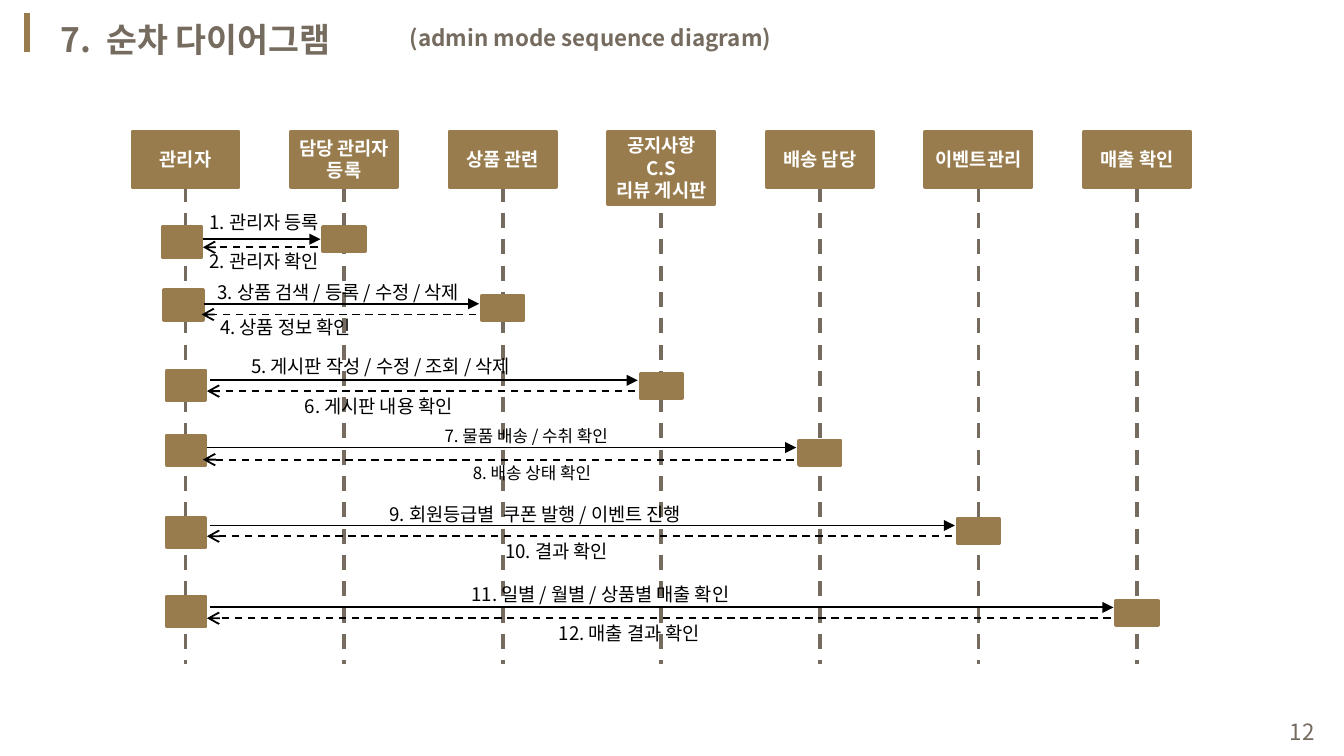
from pptx import Presentation
from pptx.dml.color import RGBColor
from pptx.enum.dml import MSO_LINE
from pptx.enum.shapes import MSO_CONNECTOR, MSO_SHAPE
from pptx.enum.text import MSO_ANCHOR, PP_ALIGN
from pptx.oxml.ns import qn
from pptx.util import Inches, Pt
from lxml import etree

DASH = MSO_LINE.DASH
LINE = MSO_CONNECTOR.STRAIGHT
RECT = MSO_SHAPE.RECTANGLE
MID, TOP = MSO_ANCHOR.MIDDLE, MSO_ANCHOR.TOP
LEFT, CENTER, RIGHT = PP_ALIGN.LEFT, PP_ALIGN.CENTER, PP_ALIGN.RIGHT

THEME = {
    "font": "Noto Sans CJK KR",
    "gold": "987C4D", "brown": "756B5F", "black": "000000", "white": "FFFFFF",
    "title": 18, "sub": 12, "head": 10, "label": 10, "small": 9,
}

HEADS = ["관리자", "담당 관리자\n등록", "상품 관련", "공지사항\nC.S\n리뷰 게시판",
         "배송 담당", "이벤트관리", "매출 확인"]

STEPS = [
    {"admin": (1.21, 1.69), "bar": 1.69, "start": 1.51, "end": 1.51,
     "call": 1.78, "reply": 1.84, "size": "label",
     "notes": [("1. 관리자 등록", 1.46, 1.52, 1.11),
               ("2. 관리자 확인", 1.46, 1.81, 1.11)]},
    {"admin": (1.22, 2.16), "bar": 2.2, "start": 1.52, "end": 1.5,
     "call": 2.26, "reply": 2.34, "size": "label",
     "notes": [("3. 상품 검색 / 등록 / 수정 / 삭제", 1.52, 2.04, 2.27),
               ("4. 상품 정보 확인", 1.54, 2.3, 1.3)]},
    {"admin": (1.24, 2.76), "bar": 2.78, "start": 1.56, "end": 1.54,
     "call": 2.83, "reply": 2.91, "size": "label",
     "notes": [("5. 게시판 작성 / 수정 / 조회 / 삭제", 1.77, 2.59, 2.41),
               ("6. 게시판 내용 확인", 2.17, 2.89, 1.44)]},
    {"admin": (1.24, 3.24), "bar": 3.28, "start": 1.54, "end": 1.51,
     "call": 3.33, "reply": 3.42, "size": "small",
     "notes": [("7. 물품 배송 / 수취 확인", 3.21, 3.12, 1.58),
               ("8. 배송 상태 확인", 3.42, 3.39, 1.19)]},
    {"admin": (1.24, 3.85), "bar": 3.86, "start": 1.56, "end": 1.54,
     "call": 3.91, "reply": 3.99, "size": "label",
     "notes": [("9. 회원등급별  쿠폰 발행 / 이벤트 진행", 2.8, 3.69, 2.67),
               ("10. 결과 확인", 3.66, 3.97, 1.05)]},
    {"admin": (1.24, 4.44), "bar": 4.47, "start": 1.56, "end": 1.54,
     "call": 4.52, "reply": 4.6, "size": "label",
     "notes": [("11. 일별 / 월별 / 상품별 매출 확인", 3.41, 4.29, 2.39),
               ("12. 매출 결과 확인", 4.06, 4.58, 1.38)]},
]

WIDE = Inches(10)
FIRST, PITCH = 1.38, 1.18
HEAD_TOP, HEAD_W, HEAD_H, TALL_H = 0.98, 0.79, 0.41, 0.54
LIFE_END = 4.94
ADMIN_W, ADMIN_H = 0.29, 0.22
BAR_W, BAR_H = 0.31, 0.18
GAP = 0.02


def color(name):
    return RGBColor.from_string(THEME[name])


def write(frame, text, size, tint, bold=False, align=LEFT):
    frame.text = text
    for para in frame.paragraphs:
        para.alignment = align
        font = para.font
        font.name = THEME["font"]
        font.size = Pt(THEME[size])
        font.bold = bold
        font.color.rgb = color(tint)
        props = para._p.pPr.find(qn("a:defRPr"))
        etree.SubElement(props, qn("a:ea"), typeface=THEME["font"])


def label(slide, text, at, size, tint, bold=False, align=LEFT, wrap=True, anchor=TOP):
    frame = slide.shapes.add_textbox(*map(Inches, at)).text_frame
    frame.word_wrap = wrap
    frame.vertical_anchor = anchor
    write(frame, text, size, tint, bold, align)


def block(slide, *at):
    box = slide.shapes.add_shape(RECT, *map(Inches, at))
    box.shadow.inherit = False
    box.fill.solid()
    box.fill.fore_color.rgb = color("gold")
    box.line.color.rgb = color("gold")
    box.line.width = Pt(2)
    return box


def stroke(slide, x1, y1, x2, y2, tint, width, dash=None, tip=None):
    link = slide.shapes.add_connector(LINE, *map(Inches, (x1, y1, x2, y2)))
    link.line.color.rgb = color(tint)
    link.line.width = Pt(width)
    if dash:
        link.line.dash_style = dash
    if tip:
        etree.SubElement(link.line._get_or_add_ln(), qn("a:tailEnd"), type=tip)
    etree.SubElement(link._element.spPr, qn("a:effectLst"))
    return link


def draw_head(slide, col, name):
    mid = FIRST + PITCH * col
    tall = name.count("\n") > 1
    life = stroke(slide, mid, HEAD_TOP + HEAD_H, mid, LIFE_END, "brown", 2, DASH)
    head = block(slide, mid - HEAD_W / 2, HEAD_TOP, HEAD_W, TALL_H if tall else HEAD_H)
    frame = head.text_frame
    frame.margin_left = frame.margin_right = frame.margin_top = frame.margin_bottom = 0
    frame.vertical_anchor = MID
    frame.word_wrap = True
    write(frame, name, "head", "white", True, CENTER)
    if not tall:
        life.begin_connect(head, 2)


def draw_step(slide, col, step):
    edge = FIRST + PITCH * col - BAR_W / 2
    call, reply = step["call"], step["reply"]
    block(slide, *step["admin"], ADMIN_W, ADMIN_H)
    stroke(slide, step["start"], call, edge - GAP, call, "black", 1, tip="triangle")
    stroke(slide, edge - 2 * GAP, reply, step["end"], reply, "black", 1, DASH, "arrow")
    block(slide, edge, step["bar"], BAR_W, BAR_H)
    high = 0.25 if step["size"] == "small" else 0.27
    for text, left, top, wide in step["notes"]:
        label(slide, text, (left, top, wide, high), step["size"], "black", wrap=False)


def main():
    deck = Presentation()
    deck.slide_width, deck.slide_height = WIDE, WIDE * 9 // 16
    slide = deck.slides.add_slide(deck.slide_layouts[6])
    stroke(slide, 0.2, 0.1, 0.2, 0.39, "gold", 3)
    label(slide, "12", (7.55, 5.29, 2.33, 0.3), "sub", "brown", align=RIGHT, anchor=MID)
    label(slide, "(admin mode sequence diagram)", (2.95, 0.13, 3.31, 0.3),
          "sub", "brown", True)
    label(slide, "7.  순차 다이어그램", (0.35, 0.09, 3.21, 0.4), "title", "brown", True)
    for col, name in enumerate(HEADS):
        draw_head(slide, col, name)
    for col, step in enumerate(STEPS, 1):
        draw_step(slide, col, step)
    deck.save("out.pptx")


if __name__ == "__main__":
    main()
